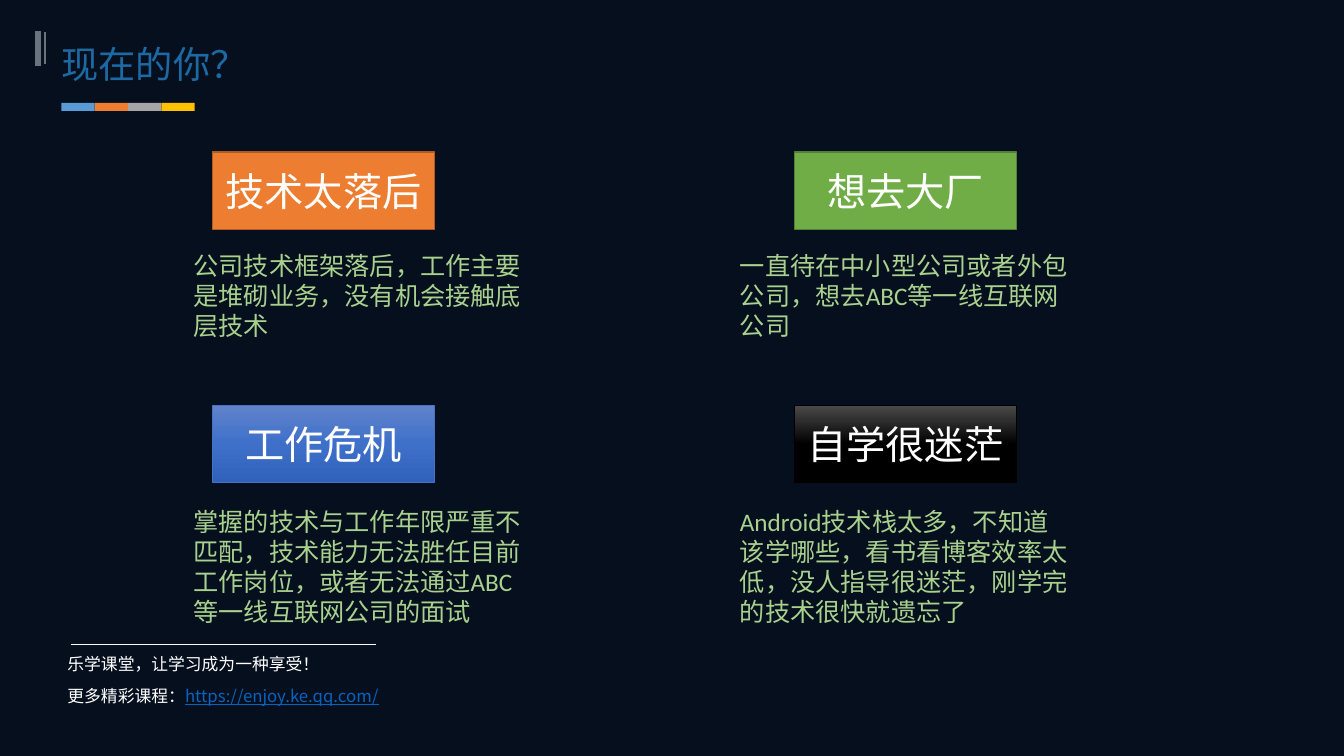
from copy import deepcopy

from pptx import Presentation
from pptx.dml.color import RGBColor
from pptx.enum import shapes, text
from pptx.oxml.ns import qn
from pptx.util import Inches, Pt

CJK = "Noto Sans CJK SC"
CARDS = [
    (2.11, 1.51, "技术太落后", ["ED7D31"], "AF5C24", 1,
     1.82, 2.43, 1.01, "公司技术框架落后，工作主要\n是堆砌业务，没有机会接触底层技术"),
    (7.88, 1.51, "想去大厂", ["70AD47"], "538035", 1,
     7.24, 2.43, 1.01, "一直待在中小型公司或者外包公司，想去ABC等一线互联网公司"),
    (2.11, 4.02, "工作危机", ["6183CB", "3E70CA", "3062BB"], "4472C4", 0.5,
     1.82, 4.97, 1.31, "掌握的技术与工作年限严重不匹配，技术能力无法胜任目前工作岗位，"
     "或者无法通过ABC等一线互联网公司的面试"),
    (7.88, 4.02, "自学很迷茫", ["4B4B4B", "000000", "000000"], "000000", 0.5,
     7.24, 4.97, 1.31, "Android技术栈太多，不知道该学哪些，看书看博客效率太低，"
     "没人指导很迷茫，刚学完的技术很快就遗忘了"),
]


def rgb(value):
    """Turn a hex string into a colour."""
    return RGBColor.from_string(value)


def add_run(p, content, size=12, color="FFFFFF", font=CJK, underline=None):
    """Add a formatted run to a paragraph."""
    r = p.add_run()
    r.text = content
    r.font.size = Pt(size)
    r.font.name = font
    r.font.underline = underline
    r.font.color.rgb = rgb(color)
    ea = r.font._element.makeelement(qn("a:ea"), {"typeface": CJK})
    r.font._element.find(qn("a:latin")).addnext(ea)


def add_text(s, x, y, w, h, content="", **style):
    """Add a wrapping text box and return its last paragraph."""
    tf = s.shapes.add_textbox(*map(Inches, (x, y, w, h))).text_frame
    tf.word_wrap = True
    tf.auto_size = text.MSO_AUTO_SIZE.SHAPE_TO_FIT_TEXT
    p = tf.paragraphs[0]
    for i, line in enumerate(content.split("\n")):
        p = tf.add_paragraph() if i else p
        if line:
            add_run(p, line, **style)
    return p


def add_title(s, content):
    """Place and format the title placeholder."""
    sp = s.shapes.title
    sp.left, sp.top, sp.width, sp.height = map(Inches, (0.61, 0.41, 4.05, 0.45))
    tf = sp.text_frame
    tf.margin_left = tf.margin_right = tf.margin_top = tf.margin_bottom = 0
    tf.vertical_anchor = text.MSO_ANCHOR.TOP
    tf.auto_size = text.MSO_AUTO_SIZE.NONE
    p = tf.paragraphs[0]
    p.alignment = text.PP_ALIGN.LEFT
    add_run(p, content, size=26.6, color="1D69A3")


def add_line(s, x1, y1, x2, y2, color, width):
    """Add a straight line."""
    cx = s.shapes.add_connector(shapes.MSO_CONNECTOR.STRAIGHT,
                                *map(Inches, (x1, y1, x2, y2)))
    cx.line.color.rgb = rgb(color)
    cx.line.width = Pt(width)
    sp_pr = cx._element.spPr
    sp_pr.append(sp_pr.makeelement(qn("a:effectLst"), {}))


def fill_shape(sp, colors):
    """Fill with one colour, or with three from top to bottom."""
    if len(colors) == 1:
        sp.fill.solid()
        sp.fill.fore_color.rgb = rgb(colors[0])
        return
    sp.fill.gradient()
    sp.fill.gradient_angle = 270
    first = sp.fill._xPr.find(".//" + qn("a:gs"))
    first.addnext(deepcopy(first))
    for stop, position, color in zip(sp.fill.gradient_stops, (0, 0.5, 1), colors):
        stop.position = position
        stop.color.rgb = rgb(color)


def add_box(s, x, y, w, h, colors, line=None, line_width=1, label=""):
    """Add a rectangle with an optional outline and centred label."""
    sp = s.shapes.add_shape(shapes.MSO_SHAPE.RECTANGLE, *map(Inches, (x, y, w, h)))
    sp.shadow.inherit = False
    fill_shape(sp, colors)
    if line:
        sp.line.color.rgb = rgb(line)
        sp.line.width = Pt(line_width)
    else:
        sp.line.fill.background()
    if label:
        tf = sp.text_frame
        tf.vertical_anchor = text.MSO_ANCHOR.MIDDLE
        p = tf.paragraphs[0]
        p.alignment = text.PP_ALIGN.CENTER
        add_run(p, label, size=28, font="Calibri")


def main():
    """Build the slide."""
    prs = Presentation()
    prs.slide_width, prs.slide_height = Inches(13.33), Inches(7.5)
    s = prs.slides.add_slide(prs.slide_layouts[5])
    s.background.fill.solid()
    s.background.fill.fore_color.rgb = rgb("060F1E")

    add_text(s, 0.57, 6.44, 3.99, 0.3, "乐学课堂，让学习成为一种享受！")
    p = add_text(s, 0.57, 6.75, 4.18, 0.3, "更多精彩课程：")
    add_run(p, "https://enjoy.ke.qq.com/", color="0563C1", underline=True)
    add_line(s, 0.7, 6.39, 3.73, 6.39, "FFFFFF", 0.5)
    add_line(s, 0.38, 0.31, 0.38, 0.65, "6A727E", 4.5)
    add_line(s, 0.45, 0.32, 0.45, 0.64, "6A727E", 1.5)

    add_title(s, "现在的你？")
    for i, color in enumerate(("5B9BD5", "ED7D31", "A5A5A5", "FFC000")):
        add_box(s, 0.61 + 0.33 * i, 1.02, 0.33, 0.08, [color])

    for x, y, label, colors, line, width, tx, ty, th, body in CARDS:
        add_box(s, x, y, 2.2, 0.77, colors, line, width, label)
        add_text(s, tx, ty, 3.47, th, body, size=18, color="A9D18E", font="Calibri")
    prs.save("out.pptx")


if __name__ == "__main__":
    main()
